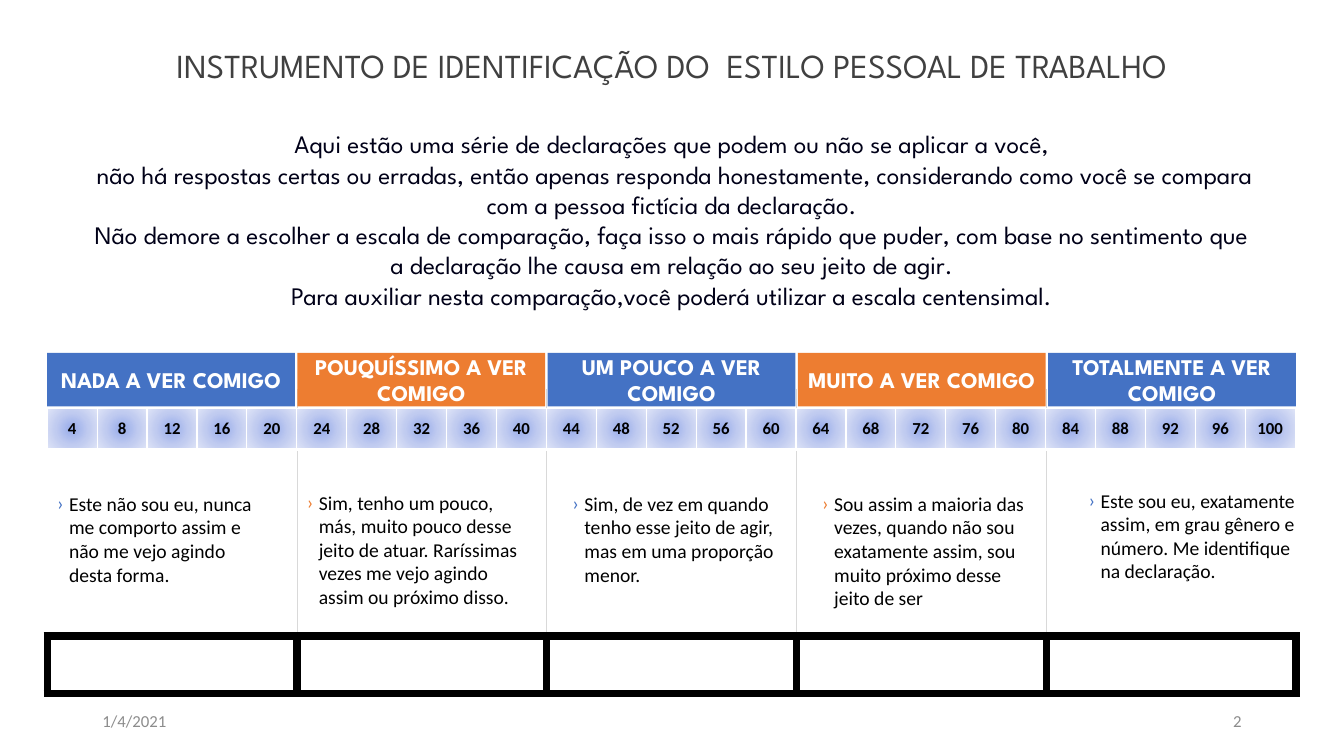
import pptx
import pptx.util
import pptx.oxml
import pptx.oxml.ns
import pptx.dml.color
import pptx.enum.shapes
import pptx.enum.text
import lxml.etree

Cm = pptx.util.Cm
Pt = pptx.util.Pt
qn = pptx.oxml.ns.qn
ALIGN = pptx.enum.text.PP_ALIGN
MIDDLE = pptx.enum.text.MSO_ANCHOR.MIDDLE

SERIF = "League Spartan"
PLAIN = "Calibri"
BLUE, ORANGE = "4472C4", "ED7D31"
WHITE, BLACK = "FFFFFF", "000000"
GLOW = [(0, "96ABEA"), (50, "C0CBF0"), (100, "E0E5F7")]
STEPS = 5

LEVELS = [
    ("NADA A VER COMIGO", BLUE, 0, 0.08,
     "Este não sou eu, nunca me comporto assim e não me vejo agindo desta forma."),
    ("POUQUÍSSIMO A VER COMIGO", ORANGE, 0, 0.05,
     "Sim, tenho um pouco, más, muito pouco desse jeito de atuar. "
     "Raríssimas vezes me vejo agindo assim ou próximo disso."),
    ("UM POUCO A VER COMIGO", BLUE, 0.4, 0.08,
     "Sim, de vez em quando tenho esse jeito de agir, mas em uma proporção menor."),
    ("MUITO A VER COMIGO", ORANGE, 0.4, 0.08,
     "Sou assim a maioria das  vezes, quando não sou exatamente assim, "
     "sou muito próximo desse jeito de ser"),
    ("TOTALMENTE A VER COMIGO", BLUE, 0.82, 0,
     "Este sou eu, exatamente assim, em grau gênero e número. "
     "Me identifique na declaração."),
]
INTRO = [
    "Aqui estão uma série de declarações que podem ou não se aplicar a você,",
    " não há respostas certas ou erradas, então apenas responda honestamente, "
    "considerando como você se compara com a pessoa fictícia da declaração.",
    "Não demore a escolher a escala de comparação, faça isso o mais rápido que puder, "
    "com base no sentimento que a declaração lhe causa em relação ao seu jeito de agir.",
    "Para auxiliar nesta comparação,você poderá utilizar a escala centensimal.",
]


def paint(code):
    return pptx.dml.color.RGBColor.from_string(code)


def write(frame, text, size, font, color, align=ALIGN.LEFT, bold=False):
    frame.text = text
    frame.word_wrap = True
    for para in frame.paragraphs:
        para.alignment = align
        for run in para.runs:
            run.font.size = Pt(size)
            run.font.name = font
            run.font.bold = bold
            run.font.color.rgb = paint(color)


def add_text(slide, box, text, *style):
    frame = slide.shapes.add_textbox(*map(Cm, box)).text_frame
    write(frame, text, *style)
    return frame


def add_grid(slide, box, cols):
    frame = slide.shapes.add_table(1, cols, *map(Cm, box))
    table = frame.table
    table.first_row = table.horz_banding = False
    for col in table.columns:
        col.width = Cm(box[2] / cols)
    return list(table.iter_cells())


def add_edges(cell, color, **widths):
    props = cell._tc.get_or_add_tcPr()
    for spot, side in enumerate("LRTB"):
        line = lxml.etree.Element(qn(f"a:ln{side}"), w=str(Pt(widths[side])))
        fill = lxml.etree.SubElement(line, qn("a:solidFill"))
        lxml.etree.SubElement(fill, qn("a:srgbClr"), val=color)
        props.insert(spot, line)


def add_glow(cell):
    stops = "".join(f'<a:gs pos="{pos * 1000}"><a:srgbClr val="{code}"/></a:gs>'
                    for pos, code in GLOW)
    cell._tc.get_or_add_tcPr().append(pptx.oxml.parse_xml(
        f'<a:gradFill {pptx.oxml.ns.nsdecls("a")}><a:gsLst>{stops}</a:gsLst>'
        '<a:path path="circle">'
        '<a:fillToRect l="50000" t="50000" r="50000" b="50000"/>'
        '</a:path></a:gradFill>'))


def add_bullet(para, color):
    props = para._p.get_or_add_pPr()
    props.set("marL", str(Cm(0.3)))
    props.set("indent", str(-Cm(0.3)))
    tint = lxml.etree.SubElement(props, qn("a:buClr"))
    lxml.etree.SubElement(tint, qn("a:srgbClr"), val=color)
    lxml.etree.SubElement(props, qn("a:buFont"), typeface=PLAIN)
    lxml.etree.SubElement(props, qn("a:buChar"), char="›")


def draw_rules(slide, box):
    left, top, width, height = box
    for step in range(1, len(LEVELS)):
        spot = Cm(left + step * width / len(LEVELS))
        rule = slide.shapes.add_connector(
            pptx.enum.shapes.MSO_CONNECTOR.STRAIGHT,
            spot, Cm(top), spot, Cm(top + height))
        rule.line.color.rgb = paint("D9D9D9")
        rule.line.width = Pt(0.5)
        lxml.etree.SubElement(rule._element.spPr, qn("a:effectLst"))


def draw_heads(slide, box):
    left, top, width, height = box
    gap = 0.06
    wide = (width - gap * (len(LEVELS) - 1)) / len(LEVELS)
    for step, (name, color, *_) in enumerate(LEVELS):
        head = slide.shapes.add_shape(
            pptx.enum.shapes.MSO_SHAPE.RECTANGLE,
            Cm(left + step * (wide + gap)), Cm(top), Cm(wide), Cm(height))
        head.shadow.inherit = False
        head.fill.solid()
        head.fill.fore_color.rgb = paint(color)
        head.line.fill.background()
        write(head.text_frame, name, 16, SERIF, WHITE, ALIGN.CENTER, True)
        head.text_frame.vertical_anchor = MIDDLE


def draw_notes(slide, box):
    left, top, width, height = box
    for step, (_, color, shift, drop, note) in enumerate(LEVELS):
        spot = left + step * width / len(LEVELS) + shift
        frame = add_text(slide, (spot, top + drop, 5.87, height),
                         note, 14, PLAIN, BLACK)
        para = frame.paragraphs[0]
        para.space_before = Pt(6)
        add_bullet(para, color)


def draw_scale(slide, box):
    for step, cell in enumerate(add_grid(slide, box, len(LEVELS) * STEPS), 1):
        write(cell.text_frame, str(step * 4), 12, PLAIN, BLACK, ALIGN.CENTER, True)
        cell.vertical_anchor = MIDDLE
        add_edges(cell, WHITE, L=1, R=1, T=1, B=3)
        add_glow(cell)


def draw_blanks(slide, box):
    for cell in add_grid(slide, box, len(LEVELS)):
        cell.fill.background()
        add_edges(cell, BLACK, L=6, R=6, T=6, B=6)


def draw_intro(slide, box):
    left, top, width, height = box
    title = add_text(slide, (left, top, width, 1.02),
                     "INSTRUMENTO DE IDENTIFICAÇÃO DO  ESTILO PESSOAL DE TRABALHO",
                     24, SERIF, "404040", ALIGN.CENTER)
    title.margin_left = title.margin_right = 0
    title.margin_top = title.margin_bottom = 0
    add_text(slide, (left + 0.74, top + 1.98, width - 1.47, height - 1.98),
             "\n".join(INTRO), 18, SERIF, "000018", ALIGN.CENTER)


def draw_foot(slide, box):
    left, top, width, height = box
    wide = 7.62
    for spot, text, align in ((left, "1/4/2021", ALIGN.LEFT),
                              (left + width - wide, "2", ALIGN.RIGHT)):
        frame = add_text(slide, (spot, top, wide, height),
                         text, 12, PLAIN, "8C8C8C", align)
        frame.vertical_anchor = MIDDLE


deck = pptx.Presentation()
deck.slide_width, deck.slide_height = Cm(33.87), Cm(19.05)
slide = deck.slides.add_slide(deck.slide_layouts[6])
edge, span = 1.19, 31.47
draw_rules(slide, (edge, 9.8, span, 7.4))
draw_foot(slide, (2.33, 17.66, 29.21, 1.01))
draw_heads(slide, (edge, 8.89, span, 1.35))
draw_notes(slide, (edge, 12.19, span, 2.64))
draw_intro(slide, (edge, 1.14, span, 6.86))
draw_scale(slide, (edge, 10.29, span, 1.04))
draw_blanks(slide, (edge, 16.03, span, 1.45))
deck.save("out.pptx")
